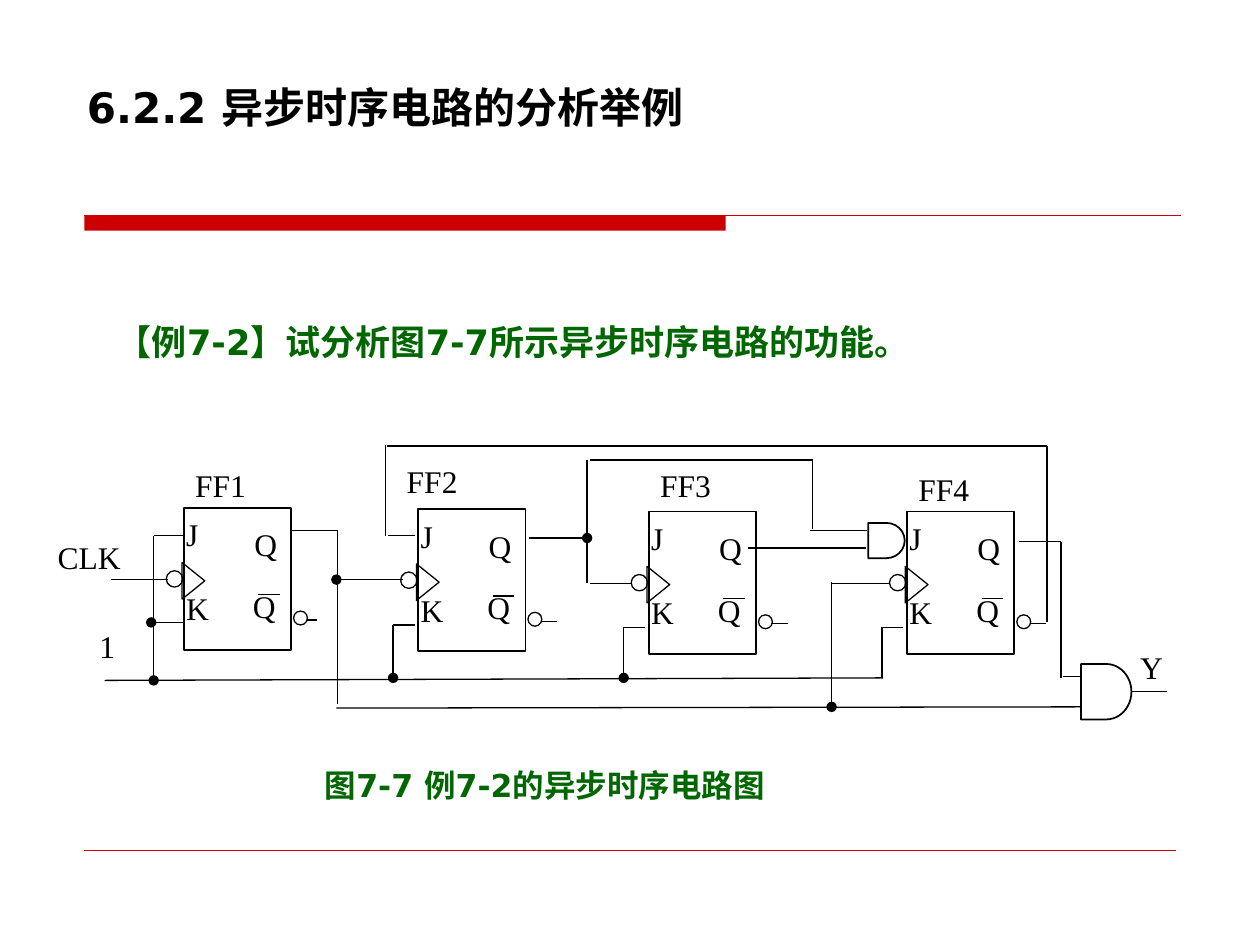
from lxml import etree
from pptx import Presentation
from pptx.dml.color import RGBColor
from pptx.enum.shapes import MSO_CONNECTOR, MSO_SHAPE
from pptx.enum.text import MSO_ANCHOR, PP_ALIGN
from pptx.oxml.ns import qn
from pptx.util import Inches, Pt

LINE = MSO_CONNECTOR.STRAIGHT
RECT = MSO_SHAPE.RECTANGLE
OVAL = MSO_SHAPE.OVAL
WEDGE = MSO_SHAPE.ISOSCELES_TRIANGLE
GATE = MSO_SHAPE.FLOWCHART_DELAY
MIDDLE = MSO_ANCHOR.MIDDLE
LEFT = PP_ALIGN.LEFT

COLORS = {"ink": "000000", "paper": "FFFFFF", "red": "CC0000", "green": "006600"}
SANS, SERIF = "DejaVu Sans", "Times New Roman"

# Flip-flops: name, body left and top, label left and top
FLOPS = [
    ("FF1", 1.46, 4.03, 1.45, 3.65),
    ("FF2", 3.32, 4.04, 3.13, 3.62),
    ("FF3", 5.15, 4.06, 5.14, 3.65),
    ("FF4", 7.2, 4.06, 7.19, 3.68),
]
BUS = 5.38

# Wires: start and end points, then the end that has a dot
WIRES = [
    # Clock and constant 1 into FF1
    (0.88, 4.6, 1.33, 4.6, None),
    (0.83, 5.4, 7.01, BUS, None),
    (1.47, 4.25, 1.22, 4.25, None),
    (1.22, 4.25, 1.22, 5.4, "tail"),
    (1.45, 4.94, 1.2, 4.94, "tail"),
    # FF1 output to FF2, FF4 and the Y gate
    (2.31, 4.21, 2.68, 4.21, None),
    (2.68, 4.21, 2.68, 5.59, None),
    (2.67, 4.6, 3.2, 4.6, "head"),
    (2.67, 5.62, 8.6, 5.61, None),
    (6.6, 4.62, 6.6, 5.61, "tail"),
    (6.6, 4.63, 7.06, 4.63, None),
    # FF2 output to FF3 and the J gate
    (4.2, 4.27, 4.66, 4.27, "tail"),
    (4.66, 3.65, 4.66, 4.63, None),
    (4.68, 4.63, 5.01, 4.63, None),
    (4.68, 3.65, 6.45, 3.65, None),
    (6.45, 3.65, 6.45, 4.2, None),
    (6.43, 4.21, 6.88, 4.21, None),
    # FF3 output to the J gate
    (5.94, 4.35, 6.87, 4.35, None),
    # FF4 feedback to FF2
    (3.06, 3.53, 3.06, 4.25, None),
    (3.08, 4.25, 3.29, 4.25, None),
    (3.07, 3.54, 8.31, 3.54, None),
    (8.31, 3.54, 8.31, 4.94, None),
    # FF4 output to the Y gate
    (8.09, 4.3, 8.42, 4.3, None),
    (8.42, 4.3, 8.42, 5.38, None),
    (8.44, 5.37, 8.68, 5.37, None),
]


def color(name):
    return RGBColor.from_string(COLORS[name])


def style(para, size, font, ink, bold=False):
    para.font.size = Pt(size)
    para.font.name = font
    para.font.bold = bold
    para.font.color.rgb = color(ink)


def label(slide, lines, x, y, w=0.6, h=0.5, gap=0):
    frame = slide.shapes.add_textbox(*map(Inches, (x, y, w, h))).text_frame
    frame.word_wrap = True
    frame.text = lines
    for i, para in enumerate(frame.paragraphs):
        style(para, 18, SERIF, "ink")
        if i:
            para.space_before = Pt(gap)


def heading(shape, text, size, ink):
    frame = shape.text_frame
    frame.word_wrap = True
    frame.vertical_anchor = MIDDLE
    frame.text = text
    para = frame.paragraphs[0]
    para.alignment = LEFT
    style(para, size, SANS, ink, True)


def shape(slide, kind, x, y, w, h, fill="paper", width=1.0):
    item = slide.shapes.add_shape(kind, *map(Inches, (x, y, w, h)))
    item.shadow.inherit = False
    if fill:
        item.fill.solid()
        item.fill.fore_color.rgb = color(fill)
    else:
        item.fill.background()
    if width:
        item.line.color.rgb = color("ink")
        item.line.width = Pt(width)
    else:
        item.line.fill.background()
    return item


def wire(slide, x1, y1, x2, y2, dot=None, ink="ink", width=0.75):
    item = slide.shapes.add_connector(LINE, *map(Inches, (x1, y1, x2, y2)))
    item.line.color.rgb = color(ink)
    item.line.width = Pt(width)
    if dot:
        end = etree.SubElement(item.line._get_or_add_ln(), qn(f"a:{dot}End"))
        end.set("type", "oval")
    etree.SubElement(item._element.spPr, qn("a:effectLst"))
    return item


def flop(slide, name, x, y, name_x, name_y):
    shape(slide, RECT, x, y, 0.85, 1.13)
    # Clock input
    wedge = shape(slide, WEDGE, x - 0.07, y + 0.49, 0.29, 0.18, None, 0.75)
    wedge.rotation = 90
    shape(slide, OVAL, x - 0.14, y + 0.5, 0.13, 0.13, None, 0.75)
    # Inverted output
    shape(slide, OVAL, x + 0.87, y + 0.82, 0.11, 0.11, "paper", 0.75)
    wire(slide, x + 0.59, y + 0.69, x + 0.76, y + 0.69)
    stub = 1.06 if name == "FF1" else 1.1
    wire(slide, x + 0.98, y + 0.89, x + stub, y + 0.89)
    # Pin names
    label(slide, "J\nK", x - 0.08, y + 0.01, 0.5, 1.09, gap=20.7)
    label(slide, "Q", x + 0.46, y + 0.09)
    label(slide, "Q", x + 0.45, y + 0.58)
    label(slide, name, name_x, name_y, 1.04)


def main():
    deck = Presentation()
    deck.slide_width, deck.slide_height = Inches(10), Inches(7.5)
    slide = deck.slides.add_slide(deck.slide_layouts[5])

    # Rules above and below
    shape(slide, RECT, 0.67, 1.71, 5.09, 0.12, "red", 0)
    wire(slide, 0.67, 1.71, 9.37, 1.71, ink="red")
    wire(slide, 0.67, 6.75, 9.33, 6.75, ink="red", width=0.25)

    # Title, question and caption
    title = slide.shapes.title
    title.left, title.top = Inches(0.59), Inches(0.6)
    title.width, title.height = Inches(5.28), Inches(0.5)
    heading(title, "6.2.2 异步时序电路的分析举例", 24, "ink")
    for text, size, box in (
        ("【例7-2】试分析图7-7所示异步时序电路的功能。", 20, (0.83, 2.49, 7.09, 0.44)),
        ("图7-7 例7-2的异步时序电路图", 18, (2.48, 6.03, 6.46, 0.4)),
    ):
        heading(slide.shapes.add_textbox(*map(Inches, box)), text, size, "green")

    # Flip-flops and their K inputs
    for row in FLOPS:
        flop(slide, *row)
    for name, x, y, *_ in FLOPS[1:]:
        wire(slide, x - 0.03, y + 0.92, x - 0.2, y + 0.92)
        dot = None if name == "FF4" else "tail"
        wire(slide, x - 0.2, y + 0.92, x - 0.2, BUS, dot)

    # Gates and wiring
    for row in WIRES:
        wire(slide, *row)
    shape(slide, GATE, 6.89, 4.15, 0.29, 0.28)
    gate = shape(slide, GATE, 8.58, 5.27, 0.4, 0.44)
    wire(slide, 8.98, 5.49, 9.26, 5.49).begin_connect(gate, 3)

    # Signal names
    label(slide, "CLK", 0.36, 4.22, 0.91)
    label(slide, "1", 0.69, 4.93)
    label(slide, "Y", 8.95, 5.09)

    deck.save("out.pptx")


if __name__ == "__main__":
    main()
